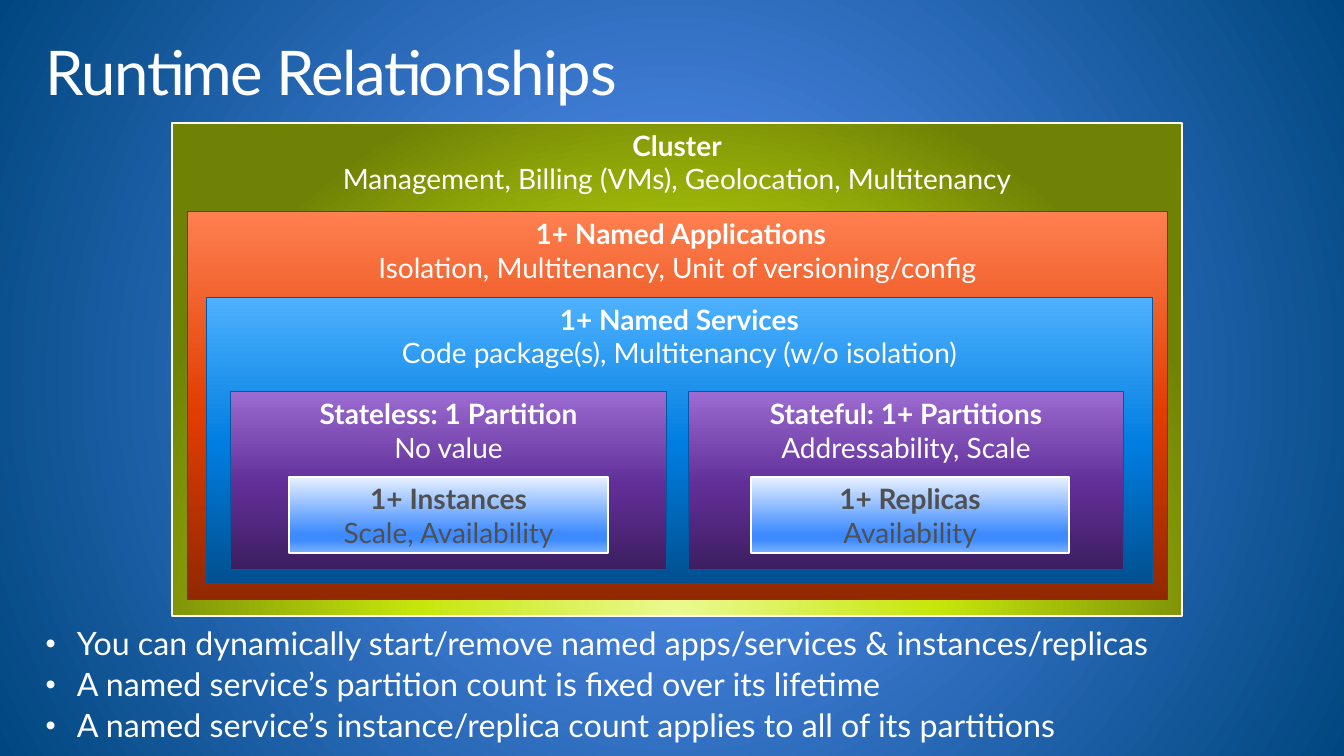
from lxml import etree
from pptx import Presentation
from pptx import util as u
from pptx.dml.color import RGBColor
from pptx.enum import shapes, text
from pptx.oxml import ns

WHITE = RGBColor(0xFF, 0xFF, 0xFF)
GRAY = RGBColor(0x50, 0x50, 0x50)
NAVY = RGBColor(0x00, 0x59, 0x9F)
FONT = "Lato"

# Gradients: (position, colour) stops, then an angle or the focus of a circle
BACKDROP = [(0, "5F96FF"), (100, "00477F")]
GREEN = [(0, "EBFA92"), (46, "C6E60B"), (100, "708206")]
ORANGE = [(0, "912801"), (48, "E13D01"), (100, "FE7F50")]
BLUE = [(0, "005090"), (48, "007DE0"), (100, "4EB1FF")]
PURPLE = [(0, "3E1E61"), (48, "612F98"), (100, "9C6CD2")]
PALE = [(0, "E9F2FF"), (74, "3E8BFF"), (83, "3E8BFF"), (100, "7EB2FF")]


def paint(fill, element, stops, angle=None, focus=None):
    """Fill with a linear gradient, or a circular one centred at focus percent down."""
    fill.gradient()
    grad = next(element.iter(ns.qn("a:gradFill")))
    for child in list(grad):
        grad.remove(child)
    stop_list = etree.SubElement(grad, ns.qn("a:gsLst"))
    for position, colour in stops:
        stop = etree.SubElement(stop_list, ns.qn("a:gs"), pos=str(position * 1000))
        etree.SubElement(stop, ns.qn("a:srgbClr"), val=colour)
    if focus is None:
        etree.SubElement(grad, ns.qn("a:lin"), ang=str(angle * 60000), scaled="0")
    else:
        circle = etree.SubElement(grad, ns.qn("a:path"), path="circle")
        etree.SubElement(circle, ns.qn("a:fillToRect"), l="50000", r="50000",
                         t=str(focus * 1000), b=str((100 - focus) * 1000))


def write(box, lines, size, colour, margin_x, margin_y):
    """Put one paragraph per line into a box, top anchored."""
    frame = box.text_frame
    frame.text = "\n".join(lines)
    frame.word_wrap = True
    frame.vertical_anchor = text.MSO_ANCHOR.TOP
    frame.margin_left = frame.margin_right = u.Cm(margin_x)
    frame.margin_top = frame.margin_bottom = u.Cm(margin_y)
    for para in frame.paragraphs:
        for span in para.runs:
            span.font.name = FONT
            span.font.size = u.Pt(size)
            span.font.color.rgb = colour
    return frame.paragraphs


deck = Presentation()
deck.slide_width, deck.slide_height = u.Cm(33.87), u.Cm(19.05)
page = deck.slides.add_slide(deck.slide_layouts[6])
paint(page.background.fill, page.element, BACKDROP, focus=50)

# Title
title = page.shapes.add_textbox(u.Cm(0.74), u.Cm(0.81), u.Cm(32.39), u.Cm(2.49))
heading = write(title, ["Runtime Relationships"], 44, WHITE, 0.41, 0.25)[0]
heading.line_spacing = 0.9
heading.runs[0].font._element.set("spc", "-100")

# Nested boxes, outermost first: left, top, width, height, gradient, framed in white, text
nested = [
    (4.34, 3.1, 25.45, 12.42, GREEN, True,
     ["Cluster", "Management, Billing (VMs), Geolocation, Multitenancy"]),
    (4.72, 5.33, 24.71, 9.78, ORANGE, False,
     [" 1+ Named Applications", "Isolation, Multitenancy, Unit of versioning/config"]),
    (5.21, 7.49, 23.83, 7.21, BLUE, False,
     ["1+ Named Services", "Code package(s), Multitenancy (w/o isolation)"]),
    (5.82, 9.86, 10.97, 4.5, PURPLE, False,
     ["Stateless: 1 Partition", "No value"]),
    (7.29, 12.01, 8.03, 1.93, PALE, True,
     ["1+ Instances", "Scale, Availability"]),
    (17.35, 9.86, 10.97, 4.5, PURPLE, False,
     ["Stateful: 1+ Partitions", "Addressability, Scale"]),
    (18.92, 12.01, 8.03, 1.93, PALE, True,
     ["1+ Replicas", "Availability"]),
]
for left, top, width, height, stops, framed, lines in nested:
    box = page.shapes.add_shape(shapes.MSO_SHAPE.RECTANGLE, u.Cm(left), u.Cm(top),
                                u.Cm(width), u.Cm(height))
    box.shadow.inherit = False
    if stops is GREEN:
        paint(box.fill, box.element, stops, focus=130)
    else:
        paint(box.fill, box.element, stops, angle=90 if stops is PALE else 270)
    box.line.color.rgb = WHITE if framed else NAVY
    box.line.width = u.Pt(1.5 if framed else 0.85)
    paras = write(box, lines, 20, GRAY if stops is PALE else WHITE,
                  0.13 if framed else 0.25, 0.13)
    for para in paras:
        para.alignment = text.PP_ALIGN.CENTER
    paras[0].runs[0].font.bold = True

# Bulleted remarks
remarks = page.shapes.add_textbox(u.Cm(0.74), u.Cm(15.57), u.Cm(32.39), u.Cm(3.68))
points = [
    "You can dynamically start/remove named apps/services & instances/replicas",
    "A named service’s partition count is fixed over its lifetime",
    "A named service’s instance/replica count applies to all of its partitions",
]
for para in write(remarks, points, 23, WHITE, 0.41, 0.25):
    para.line_spacing = 0.9
    para.space_before = u.Pt(4.6)
    props = para._p.get_or_add_pPr()
    props.set("marL", str(u.Cm(0.79)))
    props.set("indent", str(-u.Cm(0.79)))
    etree.SubElement(props, ns.qn("a:buSzPct"), val="90000")
    etree.SubElement(props, ns.qn("a:buFont"), typeface="Arial")
    etree.SubElement(props, ns.qn("a:buChar"), char="•")

deck.save("out.pptx")
